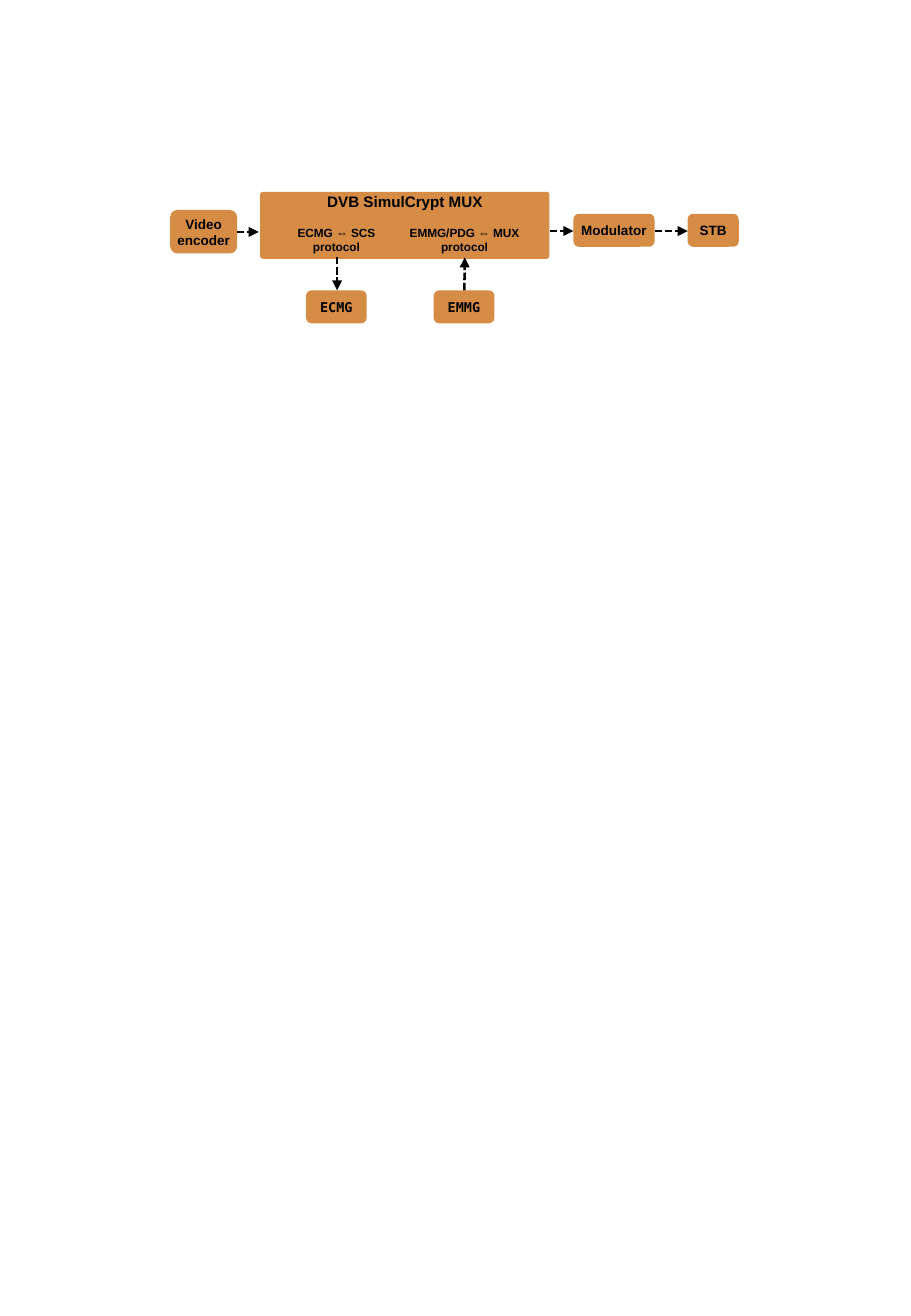
from dataclasses import dataclass

from lxml.etree import SubElement
from pptx import Presentation
from pptx.dml.color import RGBColor
from pptx.enum.dml import MSO_LINE
from pptx.enum.shapes import MSO_CONNECTOR, MSO_SHAPE
from pptx.enum.text import MSO_ANCHOR, MSO_AUTO_SIZE, PP_ALIGN
from pptx.oxml.ns import qn
from pptx.util import Cm, Pt


@dataclass(frozen=True)
class Theme:
    fill: RGBColor = RGBColor(0xD6, 0x8C, 0x45)
    ink: RGBColor = RGBColor(0, 0, 0)
    font: str = "Arial"
    mono: str = "DejaVu Sans Mono"
    heading_size: Pt = Pt(9)
    box_size: Pt = Pt(8)
    label_size: Pt = Pt(7)
    line_width: Pt = Pt(1.5)


class Diagram:
    def __init__(self, page, theme):
        self.page = page
        self.theme = theme

    def set_text(self, frame, lines, size, font, margins, anchor):
        frame.word_wrap = True
        frame.vertical_anchor = anchor
        (frame.margin_left, frame.margin_top,
         frame.margin_right, frame.margin_bottom) = (Cm(margin) for margin in margins)
        for index, line in enumerate(lines):
            para = frame.add_paragraph() if index else frame.paragraphs[0]
            para.text = line
            para.alignment = PP_ALIGN.CENTER
            para.font.size = size
            para.font.name = font
            para.font.bold = True
            para.font.color.rgb = self.theme.ink

    def rounded(self, left, top, width, height):
        box = self.page.shapes.add_shape(
            MSO_SHAPE.ROUNDED_RECTANGLE, Cm(left), Cm(top), Cm(width), Cm(height))
        box.shadow.inherit = False
        box.fill.solid()
        box.fill.fore_color.rgb = self.theme.fill
        box.line.fill.background()
        return box

    def unit(self, text, left, top, width, height=0.69, font=None):
        box = self.rounded(left, top, width, height)
        self.set_text(box.text_frame, [text], self.theme.box_size, font or self.theme.font,
                      (0.1, 0.13, 0.1, 0.13), MSO_ANCHOR.MIDDLE)

    def container(self, text, left, top, width, height):
        box = self.rounded(left, top, width, height)
        box.adjustments[0] = 0.04
        self.set_text(box.text_frame, [text], self.theme.heading_size, self.theme.font,
                      (0.25, 0, 0.25, 0.13), MSO_ANCHOR.TOP)

    def label(self, lines, left, top, width, height=0.71):
        box = self.page.shapes.add_textbox(Cm(left), Cm(top), Cm(width), Cm(height))
        self.set_text(box.text_frame, lines, self.theme.label_size, self.theme.font,
                      (0, 0.05, 0, 0.05), MSO_ANCHOR.TOP)
        box.text_frame.auto_size = MSO_AUTO_SIZE.SHAPE_TO_FIT_TEXT

    def arrow(self, start_x, start_y, end_x, end_y):
        arrow = self.page.shapes.add_connector(
            MSO_CONNECTOR.STRAIGHT, Cm(start_x), Cm(start_y), Cm(end_x), Cm(end_y))
        arrow.line.color.rgb = self.theme.ink
        arrow.line.width = self.theme.line_width
        arrow.line.dash_style = MSO_LINE.SQUARE_DOT
        properties = arrow._element.spPr
        SubElement(properties.find(qn("a:ln")), qn("a:tailEnd"), type="triangle")
        SubElement(properties, qn("a:effectLst"))


def main():
    deck = Presentation()
    deck.slide_width, deck.slide_height = Cm(19.05), Cm(27.51)
    theme = Theme()
    diagram = Diagram(deck.slides.add_slide(deck.slide_layouts[6]), theme)

    # Units on the signal path
    diagram.unit("Video encoder", 3.56, 4.39, 1.4, height=0.91)
    diagram.unit("Modulator", 11.99, 4.47, 1.7)
    diagram.unit("STB", 14.38, 4.47, 1.07)

    # Message generators below the multiplexer
    diagram.unit("ECMG", 6.4, 6.07, 1.27, font=theme.mono)
    diagram.unit("EMMG", 9.07, 6.07, 1.27, font=theme.mono)

    # Signal path arrows; the multiplexer covers the start of one
    diagram.arrow(4.95, 4.85, 5.41, 4.85)
    diagram.arrow(11.28, 4.83, 11.99, 4.83)
    diagram.arrow(13.69, 4.83, 14.38, 4.83)

    # Multiplexer with its protocols
    diagram.container("DVB SimulCrypt MUX", 5.44, 4.01, 6.05, 1.4)
    diagram.label(["ECMG ⇔ SCS", "protocol"], 6.12, 4.67, 1.83)
    diagram.label(["EMMG/PDG ⇔ MUX", "protocol"], 8.46, 4.67, 2.51)

    # Arrows to and from the generators
    diagram.arrow(7.05, 5.37, 7.05, 6.07)
    diagram.arrow(9.71, 6.07, 9.72, 5.38)

    deck.save("out.pptx")


if __name__ == "__main__":
    main()
